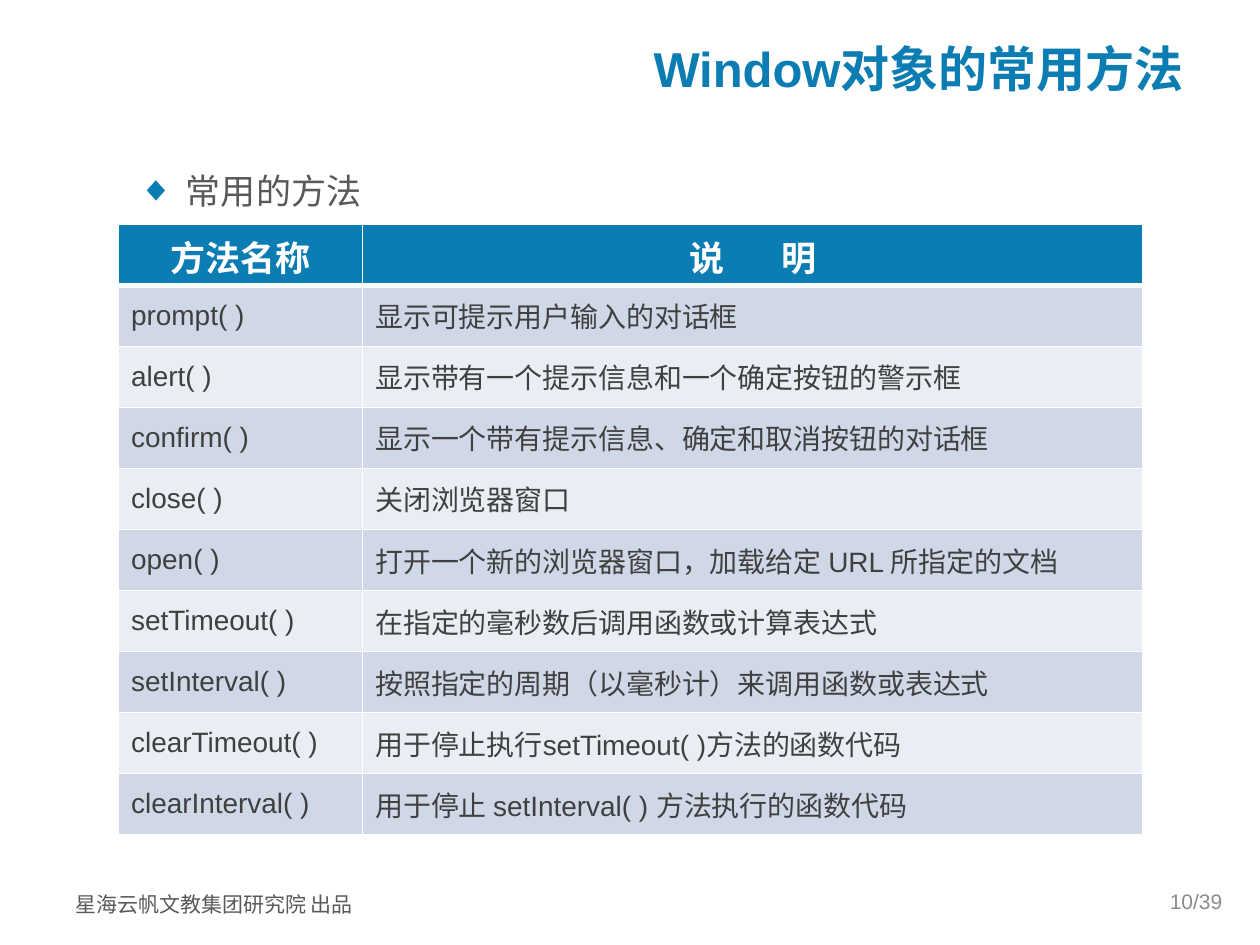
from lxml.etree import SubElement
from pptx import Presentation
from pptx.dml.color import RGBColor
from pptx.enum.text import MSO_ANCHOR, PP_ALIGN
from pptx.oxml import parse_xml
from pptx.oxml.ns import nsdecls, qn
from pptx.util import Cm, Pt

BLUE, WHITE, GREY, DARK, PALE = "0B7DB2", "FFFFFF", "595959", "404040", "8C8C8C"
BANDS = ("D0D8E8", "E9EDF4")
LATIN, CJK = "Arial", "Noto Sans CJK SC"

METHODS = [
    ("prompt( )", "显示可提示用户输入的对话框"),
    ("alert( )", "显示带有一个提示信息和一个确定按钮的警示框"),
    ("confirm( )", "显示一个带有提示信息、确定和取消按钮的对话框"),
    ("close( )", "关闭浏览器窗口"),
    ("open( )", "打开一个新的浏览器窗口，加载给定 URL 所指定的文档"),
    ("setTimeout( )", "在指定的毫秒数后调用函数或计算表达式"),
    ("setInterval( )", "按照指定的周期（以毫秒计）来调用函数或表达式"),
    ("clearTimeout( )", "用于停止执行setTimeout( )方法的函数代码"),
    ("clearInterval( )", "用于停止 setInterval( ) 方法执行的函数代码"),
]


def rgb(color):
    return RGBColor.from_string(color)


def add_run(p, text, size, color, bold=False, font=LATIN):
    r = p.add_run()
    r.text = text
    r.font.size, r.font.bold, r.font.name = Pt(size), bold, font
    r.font.color.rgb = rgb(color)
    SubElement(r.font._element, qn("a:ea")).set("typeface", CJK)
    return r


def space_before(p):
    """Set the gap above to a fifth of the line."""
    p._p.get_or_add_pPr().append(parse_xml(
        f'<a:spcBef {nsdecls("a")}><a:spcPct val="20000"/></a:spcBef>'))


def add_box(slide, left, top, width, height, align=PP_ALIGN.LEFT,
            anchor=MSO_ANCHOR.TOP):
    """Add an empty text box and return its first paragraph."""
    tf = slide.shapes.add_textbox(Cm(left), Cm(top), Cm(width), Cm(height)).text_frame
    tf.word_wrap = True
    tf.vertical_anchor = anchor
    p = tf.paragraphs[0]
    p.alignment = align
    return p


def add_title(slide, left, top, width, height):
    p = add_box(slide, left, top, width, height, PP_ALIGN.RIGHT, MSO_ANCHOR.MIDDLE)
    add_run(p, "Window对象的常用方法", 28, BLUE, bold=True)


def add_body(slide, left, top, width, height):
    p = add_box(slide, left, top, width, height)
    p.line_spacing = 1.2
    space_before(p)
    pPr = p._p.get_or_add_pPr()
    pPr.set("marL", str(Cm(0.96)))
    pPr.set("indent", str(-Cm(0.96)))
    color = SubElement(pPr, qn("a:buClr"))
    SubElement(color, qn("a:srgbClr")).set("val", BLUE)
    SubElement(pPr, qn("a:buFont")).set("typeface", LATIN)
    SubElement(pPr, qn("a:buChar")).set("char", "◆")
    add_run(p, "常用的方法", 20, GREY)


def style_cell(cell, fill, bottom=1):
    cell.fill.solid()
    cell.fill.fore_color.rgb = rgb(fill)
    cell.vertical_anchor = MSO_ANCHOR.MIDDLE
    tcPr = cell._tc.get_or_add_tcPr()
    for i, (side, width) in enumerate(zip("LRTB", (1, 1, 1, bottom))):
        tcPr.insert(i, parse_xml(
            f'<a:ln{side} {nsdecls("a")} w="{Pt(width)}"><a:solidFill>'
            f'<a:srgbClr val="{WHITE}"/></a:solidFill></a:ln{side}>'))


def fill_header(table):
    for cell, words in zip(table.rows[0].cells, (("方法名称",), ("说", "明"))):
        style_cell(cell, BLUE, bottom=3)
        p = cell.text_frame.paragraphs[0]
        p.alignment = PP_ALIGN.CENTER
        space_before(p)
        for i, word in enumerate(words):
            if i:
                gap = add_run(p, " ", 20, WHITE, bold=True)
                gap.font._element.set("spc", "2800")
            add_run(p, word, 20, WHITE, bold=True)


def add_methods_table(slide, left, top, width, height):
    rows = len(METHODS) + 1
    table = slide.shapes.add_table(
        rows, 2, Cm(left), Cm(top), Cm(width), Cm(height)).table
    name_width = 4.92
    table.columns[0].width = Cm(name_width)
    table.columns[1].width = Cm(width - name_width)
    for row in table.rows:
        row.height = Cm(height / rows)
    fill_header(table)
    for i, texts in enumerate(METHODS):
        for cell, text in zip(table.rows[i + 1].cells, texts):
            style_cell(cell, BANDS[i % 2])
            p = cell.text_frame.paragraphs[0]
            space_before(p)
            add_run(p, text, 16, DARK)


def add_footer(slide, left, top, width, height):
    p = add_box(slide, left, top, 7, height)
    p.line_spacing = 1.2
    add_run(p, "星海云帆文教集团研究院 出品", 12, GREY, font=CJK)
    number_width = 5.92
    p = add_box(slide, left + width - number_width, top - 0.1, number_width, 1.02,
                PP_ALIGN.RIGHT, MSO_ANCHOR.MIDDLE)
    add_run(p, "10/39", 12, PALE)


def main():
    prs = Presentation()
    prs.slide_width, prs.slide_height = Cm(25.4), Cm(19.05)
    slide = prs.slides.add_slide(prs.slide_layouts[6])
    add_title(slide, 2.54, 0.79, 21.56, 1.14)
    add_body(slide, 2.54, 3.12, 21.56, 11.99)
    add_methods_table(slide, 2.39, 4.52, 20.65, 12.3)
    add_footer(slide, 1.27, 17.75, 23.62, 0.86)
    prs.save("out.pptx")


if __name__ == "__main__":
    main()
